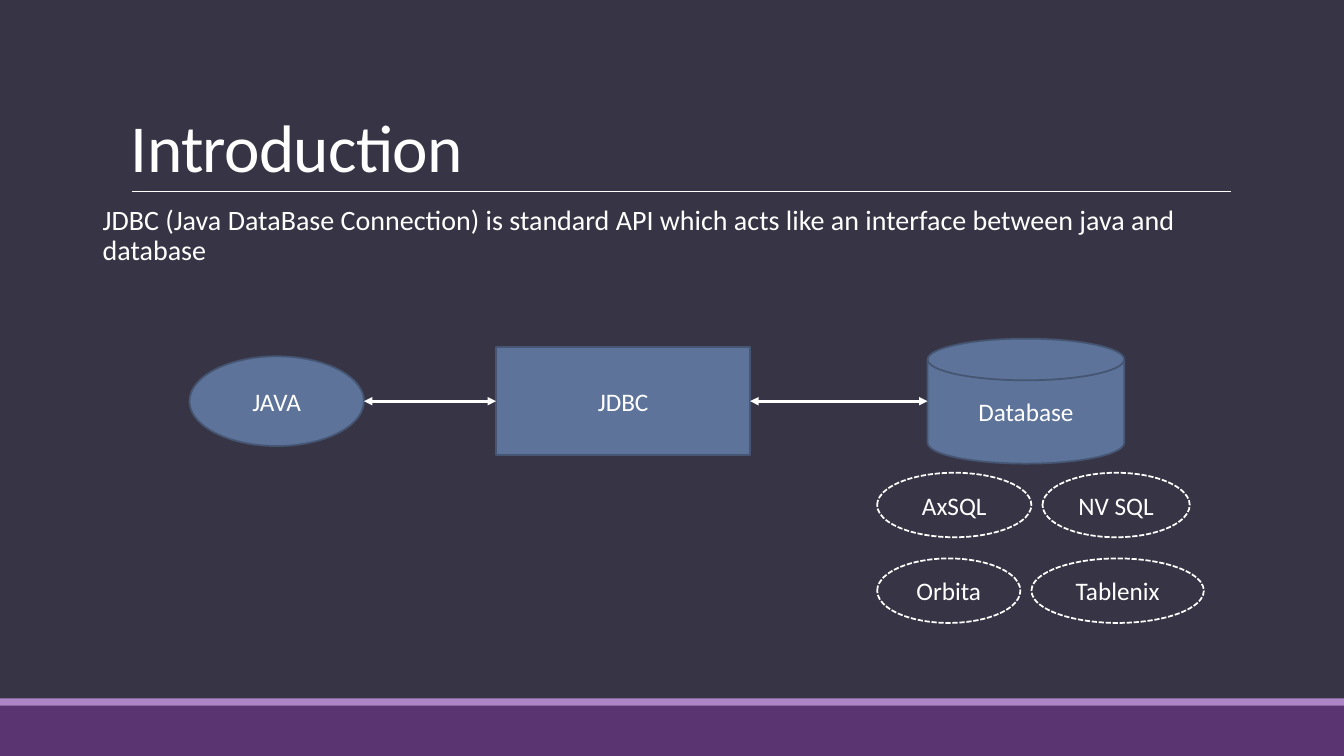
from dataclasses import dataclass

from lxml import etree
from pptx import Presentation
from pptx.dml.color import RGBColor
from pptx.enum.dml import MSO_LINE
from pptx.enum.shapes import MSO_CONNECTOR, MSO_SHAPE
from pptx.enum.text import MSO_ANCHOR, PP_ALIGN
from pptx.oxml.ns import qn
from pptx.util import Inches, Pt

RECTANGLE = MSO_SHAPE.RECTANGLE
ELLIPSE = MSO_SHAPE.OVAL
CYLINDER = MSO_SHAPE.FLOWCHART_MAGNETIC_DISK
STRAIGHT = MSO_CONNECTOR.STRAIGHT
SYSTEM_DASH = MSO_LINE.SQUARE_DOT
TOP, MIDDLE, BOTTOM = MSO_ANCHOR.TOP, MSO_ANCHOR.MIDDLE, MSO_ANCHOR.BOTTOM
CENTER = PP_ALIGN.CENTER


@dataclass(frozen=True)
class Theme:
    font: str = "Calibri"
    background: RGBColor = RGBColor(0x37, 0x35, 0x45)
    footer: RGBColor = RGBColor(0x5A, 0x34, 0x71)
    accent: RGBColor = RGBColor(0xAD, 0x84, 0xC6)
    node: RGBColor = RGBColor(0x5D, 0x73, 0x9A)
    node_line: RGBColor = RGBColor(0x45, 0x55, 0x72)
    text: RGBColor = RGBColor(0xFF, 0xFF, 0xFF)
    title_size: int = 48
    body_size: int = 20
    label_size: int = 18
    outline: float = 1.25
    arrow: float = 2
    rule: float = 0.5


THEME = Theme()


def add_run(paragraph, text, size):
    run = paragraph.add_run()
    run.text = text
    run.font.name = THEME.font
    run.font.size = Pt(size)
    run.font.color.rgb = THEME.text
    return run


def add_text(slide, box, text, size, anchor, line_spacing):
    frame = slide.shapes.add_textbox(*map(Inches, box)).text_frame
    frame.word_wrap = True
    frame.vertical_anchor = anchor
    paragraph = frame.paragraphs[0]
    paragraph.line_spacing = line_spacing
    return add_run(paragraph, text, size)


def add_filled_shape(slide, kind, box, fill=None):
    shape = slide.shapes.add_shape(kind, *map(Inches, box))
    shape.shadow.inherit = False
    if fill is None:
        shape.fill.background()
    else:
        shape.fill.solid()
        shape.fill.fore_color.rgb = fill
    return shape


def add_band(slide, top, height, color):
    band = add_filled_shape(slide, RECTANGLE, (0, top, 13.33, height), color)
    band.line.fill.background()


def add_label(shape, text):
    frame = shape.text_frame
    frame.word_wrap = True
    frame.vertical_anchor = MIDDLE
    paragraph = frame.paragraphs[0]
    paragraph.alignment = CENTER
    add_run(paragraph, text, THEME.label_size)


def add_node(slide, kind, box, text):
    node = add_filled_shape(slide, kind, box, THEME.node)
    node.line.color.rgb = THEME.node_line
    node.line.width = Pt(THEME.outline)
    add_label(node, text)


def add_dashed_ellipse(slide, box, text):
    ellipse = add_filled_shape(slide, ELLIPSE, box)
    ellipse.line.color.rgb = THEME.text
    ellipse.line.width = Pt(THEME.outline)
    ellipse.line.dash_style = SYSTEM_DASH
    add_label(ellipse, text)


def add_line(slide, left, right, y, width):
    connector = slide.shapes.add_connector(
        STRAIGHT, Inches(left), Inches(y), Inches(right), Inches(y))
    connector.line.color.rgb = THEME.text
    connector.line.width = Pt(width)
    etree.SubElement(connector._element.spPr, qn("a:effectLst"))
    return connector


def add_double_arrow(slide, left, right, y):
    connector = add_line(slide, left, right, y, THEME.arrow)
    outline = connector.line._get_or_add_ln()
    for end in ("a:headEnd", "a:tailEnd"):
        etree.SubElement(outline, qn(end), type="triangle")


def main():
    presentation = Presentation()
    presentation.slide_width = Inches(13.33)
    presentation.slide_height = Inches(7.5)
    slide = presentation.slides.add_slide(presentation.slide_layouts[6])
    slide.background.fill.solid()
    slide.background.fill.fore_color.rgb = THEME.background

    add_band(slide, 7, 0.5, THEME.footer)
    add_band(slide, 6.93, 0.07, THEME.accent)
    add_line(slide, 1.31, 12.21, 1.9, THEME.rule)

    title = add_text(slide, (1.2, 0.31, 11, 1.59), "Introduction",
                     THEME.title_size, BOTTOM, 0.85)
    title._r.get_or_add_rPr().set("spc", "-50")
    add_text(slide, (0.92, 2, 11.6, 1.07),
             "JDBC (Java DataBase Connection) is standard API which acts like "
             "an interface between java and database",
             THEME.body_size, TOP, 0.9)

    axis = 3.98
    nodes = [
        (ELLIPSE, 1.88, 1.73, 0.89, "JAVA"),
        (RECTANGLE, 4.92, 2.52, 1.07, "JDBC"),
        (CYLINDER, 9.2, 1.95, 1.24, "Database"),
    ]
    for kind, left, width, height, text in nodes:
        add_node(slide, kind, (left, axis - height / 2, width, height), text)
    for source, target in zip(nodes, nodes[1:]):
        add_double_arrow(slide, source[1] + source[2], target[1], axis)

    database_rows = [
        (4.69, [(8.7, 1.53, "AxSQL"), (10.34, 1.46, "NV SQL")]),
        (5.54, [(8.7, 1.42, "Orbita"), (10.23, 1.71, "Tablenix")]),
    ]
    for top, databases in database_rows:
        for left, width, text in databases:
            add_dashed_ellipse(slide, (left, top, width, 0.64), text)

    presentation.save("out.pptx")


if __name__ == "__main__":
    main()
